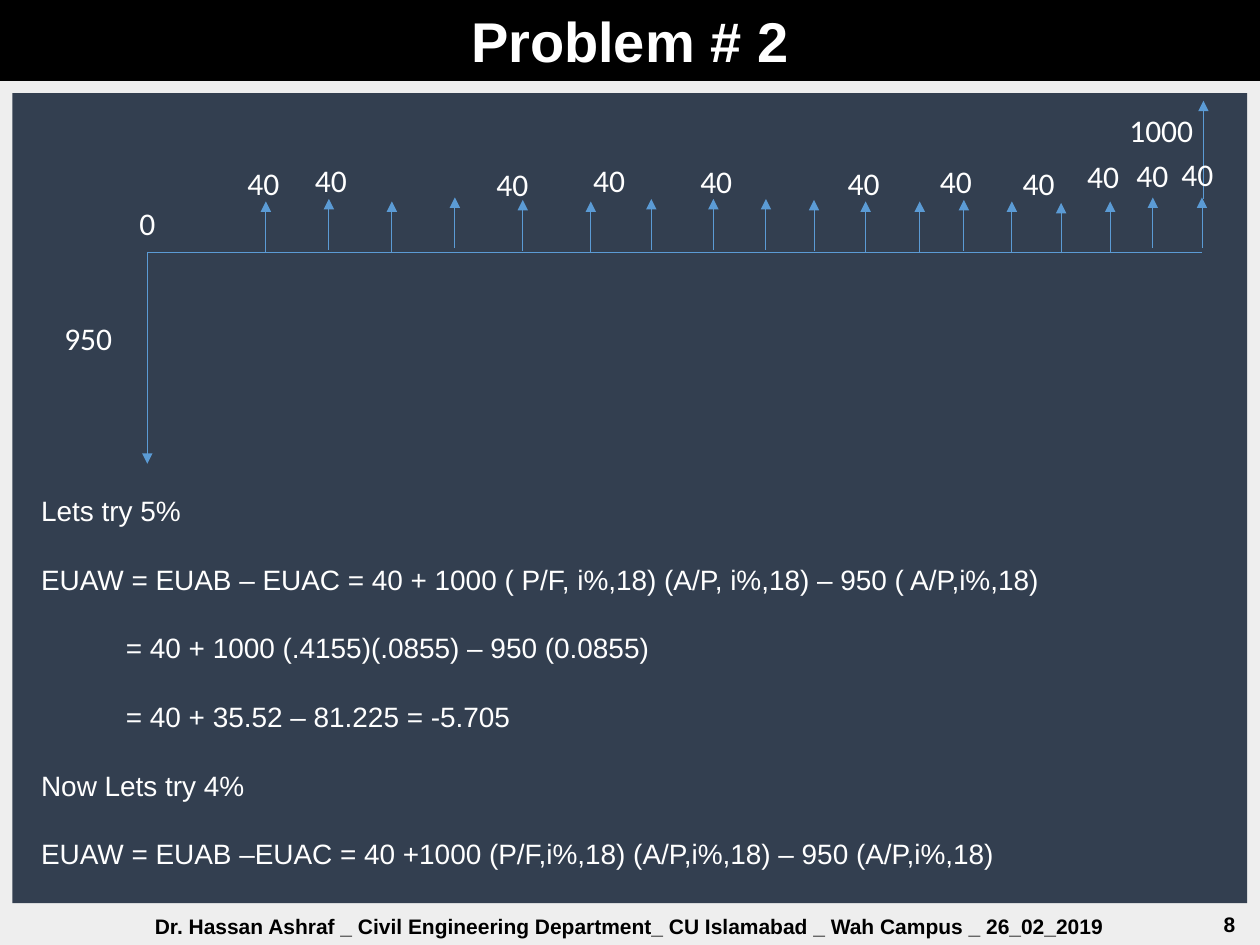
from dataclasses import dataclass

from lxml.etree import SubElement
from pptx import Presentation
from pptx.dml.color import RGBColor
from pptx.enum.shapes import MSO_CONNECTOR, MSO_SHAPE
from pptx.enum.text import MSO_ANCHOR, PP_ALIGN
from pptx.oxml.ns import qn
from pptx.util import Cm, Pt


@dataclass(frozen=True)
class Theme:
    black = RGBColor(0x00, 0x00, 0x00)
    white = RGBColor(0xFF, 0xFF, 0xFF)
    panel = RGBColor(0x33, 0x3F, 0x50)
    arrow = RGBColor(0x5B, 0x9B, 0xD5)
    back = (RGBColor(0xEE, 0xEE, 0xEE), RGBColor(0xF0, 0xF0, 0xF0))
    title = {"name": "Arial", "size": Pt(32), "bold": True}
    body = {"name": "Arial", "size": Pt(16)}
    label = {"name": "Calibri", "size": Pt(18)}
    footer = {"name": "Arial", "size": Pt(12), "bold": True}


theme = Theme()
prs = Presentation()
prs.slide_width, prs.slide_height = Cm(25.4), Cm(19.05)
s = prs.slides.add_slide(prs.slide_layouts[6])


def write(sp, lines, fmt, color, align, anchor=MSO_ANCHOR.TOP, gap=0):
    """Fill a shape with (text, left indent in cm) paragraphs."""
    tf = sp.text_frame
    tf.word_wrap = True
    tf.vertical_anchor = anchor
    for i, (text, indent) in enumerate(lines):
        p = tf.add_paragraph() if i else tf.paragraphs[0]
        p.alignment = align
        if i and gap:
            p.space_before = Pt(gap)
        if indent:
            p._p.get_or_add_pPr().set("marL", str(Cm(indent)))
        r = p.add_run()
        r.text = text
        for key, value in fmt.items():
            setattr(r.font, key, value)
        r.font.color.rgb = color


def add_line(x1, y1, x2, y2, arrow=True):
    """Draw a thin line, with an arrowhead at its end by default."""
    ln = s.shapes.add_connector(MSO_CONNECTOR.STRAIGHT, Cm(x1), Cm(y1), Cm(x2), Cm(y2))
    ln.line.color.rgb = theme.arrow
    ln.line.width = Pt(0.5)
    if arrow:
        SubElement(ln.line._get_or_add_ln(), qn("a:tailEnd"), type="triangle")
    SubElement(ln._element.spPr, qn("a:effectLst"))


# Background
fill = s.background.fill
fill.gradient()
fill.gradient_angle = 0
for stop, color, position in zip(fill.gradient_stops, theme.back, (0, 0.59)):
    stop.color.rgb = color
    stop.position = position

# Content panel and title bar
bars = []
for box, color in (((0.25, 1.88, 24.89, 16.33), theme.panel),
                   ((0, 0, 25.4, 1.63), theme.black)):
    sp = s.shapes.add_shape(MSO_SHAPE.RECTANGLE, *map(Cm, box))
    sp.shadow.inherit = False
    sp.fill.solid()
    sp.fill.fore_color.rgb = color
    sp.line.fill.background()
    bars.append(sp)
write(bars[1], [("Problem # 2", 0)], theme.title, theme.white,
      PP_ALIGN.CENTER, MSO_ANCHOR.MIDDLE)

# Slide number and footer
for text, box, align in (
    ("8", (19.43, 18.11, 5.72, 1.02), PP_ALIGN.RIGHT),
    ("Dr. Hassan Ashraf _ Civil Engineering Department_ CU Islamabad _ Wah Campus _ 26_02_2019",
     (0.25, 18.16, 24.89, 1.02), PP_ALIGN.CENTER),
):
    sp = s.shapes.add_textbox(*map(Cm, box))
    write(sp, [(text, 0)], theme.footer, theme.black, align, MSO_ANCHOR.MIDDLE)

# Time axis, initial cost and final redemption
start, end, axis = 2.97, 24.23, 5.08
add_line(start, axis, end, axis, arrow=False)
add_line(start, axis, start, 9.35)
add_line(24.26, 4.01, 24.26, 2.03)

# Yearly receipts: x and foot of each arrow
receipts = [
    (5.36, 5.08), (6.63, 5.03), (7.9, 5.08), (9.17, 5), (10.54, 5.05), (11.91, 5.08),
    (13.13, 5.03), (14.38, 5.03), (15.44, 5.03), (16.41, 5.05), (17.45, 5.08), (18.54, 5.08),
    (19.43, 5.05), (20.4, 5.08), (21.39, 5.11), (22.38, 5.08), (23.24, 5), (end, 5),
]
for x, foot in receipts:
    add_line(x, foot, x, foot - 1.02)

# Amounts: text, centre x and top
forties = [
    (5.31, 3.18), (6.67, 3.12), (10.33, 3.2), (12.28, 3.12), (14.44, 3.15), (17.41, 3.18),
    (19.27, 3.15), (20.94, 3.18), (22.24, 3.05), (23.23, 3.02), (24.14, 3),
]
amounts = [("0", start, 3.99), ("950", 1.78, 6.3), ("1000", 23.41, 2.11)]
amounts += [("40", x, top) for x, top in forties]
label_width = 2.06
for text, x, top in amounts:
    sp = s.shapes.add_textbox(Cm(x - label_width / 2), Cm(top), Cm(label_width), Cm(1.07))
    write(sp, [(text, 0)], theme.label, theme.white, PP_ALIGN.CENTER)

# Trial calculations
steps = [
    ("Lets try 5%", 0),
    ("EUAW = EUAB – EUAC = 40 + 1000 ( P/F, i%,18) (A/P, i%,18) – 950 ( A/P,i%,18)", 0),
    ("= 40 + 1000 (.4155)(.0855) – 950 (0.0855)", 1.71),
    ("= 40 + 35.52 – 81.225 = -5.705", 1.71),
    ("Now Lets try 4%", 0),
    ("EUAW = EUAB –EUAC = 40 +1000 (P/F,i%,18) (A/P,i%,18) – 950 (A/P,i%,18)", 0),
]
sp = s.shapes.add_textbox(Cm(0.58), Cm(9.83), Cm(24.41), Cm(7.77))
write(sp, steps, theme.body, theme.white, PP_ALIGN.JUSTIFY, gap=20)

prs.save("out.pptx")
